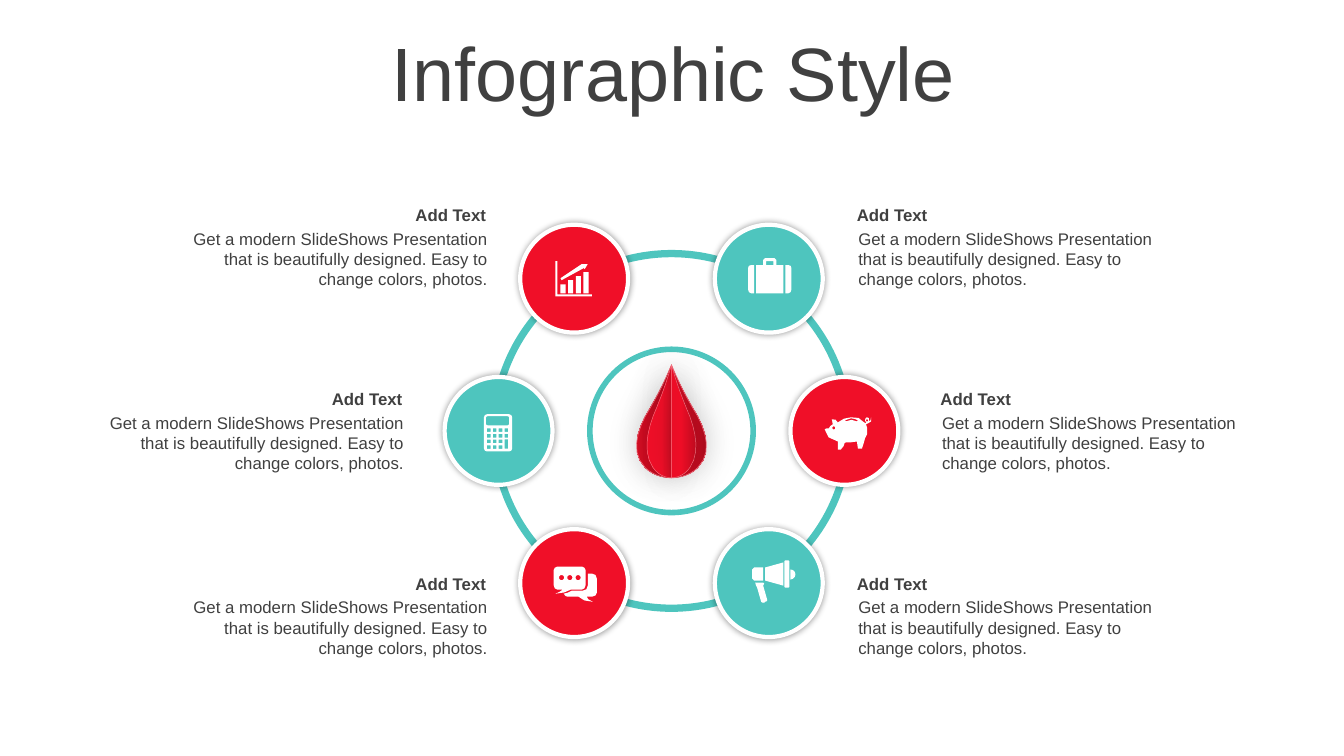
from dataclasses import dataclass
from math import cos, pi, sin

from pptx import Presentation
from pptx.dml.color import RGBColor
from pptx.enum.shapes import MSO_SHAPE
from pptx.enum.text import MSO_ANCHOR, PP_ALIGN
from pptx.oxml import parse_xml
from pptx.oxml.ns import nsdecls, qn
from pptx.shapes.autoshape import Shape
from pptx.slide import Slide
from pptx.util import Inches, Pt

OVAL, DONUT = MSO_SHAPE.OVAL, MSO_SHAPE.DONUT
LEFT, CENTER, RIGHT = PP_ALIGN.LEFT, PP_ALIGN.CENTER, PP_ALIGN.RIGHT
TOP, MIDDLE = MSO_ANCHOR.TOP, MSO_ANCHOR.MIDDLE

COLORS = {
    "red": "F00F28", "teal": "4EC5BE", "white": "FFFFFF", "text": "404040", "black": "000000",
    "drop_edge": "F66F7E", "dark": "B40B1E", "deep": "C00C20", "mid": "D80E24", "warm": "CC0D22",
}
FONT = {"name": "Arial", "size": Pt(12), "bold": False}
DESCRIPTION = ("Get a modern SlideShows Presentation that is beautifully designed. "
               "Easy to change colors, photos.")

# The slide is a grid of 133.3 columns by 75 rows; icon grids are ten times finer.
CELL, ICON_CELL = Inches(0.1), Inches(0.01)
CENTER_COLUMN, CENTER_ROW = 66.6, 42.75
NODE_SIZE, NODE_ROW_STEP = 10.7, 15.1
NODE_OFFSETS = (9.65, 17.15, 9.65)
TEXT_OFFSETS = (17.4, 25.7, 17.4)
TEXT_WIDTH, TEXT_TOP, TEXT_ROW_STEP = 32, 19.8, 18.3

Point = tuple[float, float]
Contour = list[Point]


@dataclass(frozen=True)
class Shadow:
    opacity: int
    blur: float
    distance: float = 0
    angle: int = 0


@dataclass(frozen=True)
class Topic:
    side: int
    level: int
    color: str
    icon: list[Contour]
    icon_column: float
    icon_row: float


@dataclass(frozen=True)
class Petal:
    stretch: float
    stops: tuple[tuple[int, str, int], ...]
    angle: int
    edge: float


def trace(outline: str, steps: int = 2) -> Contour:
    """Read 'x,y' as a corner and 'x,y/x,y/x,y' as a Bezier curve cut into steps."""
    points: Contour = []
    for item in outline.split():
        marks = [tuple(float(number) for number in mark.split(",")) for mark in item.split("/")]
        if len(marks) == 1:
            points.append(marks[0])
            continue
        controls = [points[-1], *marks]
        for step in range(1, steps + 1):
            t = step / steps
            weights = ((1 - t) ** 3, 3 * t * (1 - t) ** 2, 3 * t * t * (1 - t), t ** 3)
            points.append(tuple(sum(weight * control[axis] for weight, control in zip(weights, controls))
                                for axis in (0, 1)))
    return points


def box(left: float, top: float, width: float, height: float, radius: float = 0) -> Contour:
    right, bottom = left + width, top + height
    corners = ((right - radius, bottom - radius), (left + radius, bottom - radius),
               (left + radius, top + radius), (right - radius, top + radius))
    return [(x + radius * cos((quarter + step / 2) * pi / 2), y + radius * sin((quarter + step / 2) * pi / 2))
            for quarter, (x, y) in enumerate(corners) for step in range(3 if radius else 1)]


def dot(x: float, y: float, radius: float) -> Contour:
    return [(x + radius * cos(step * pi / 5), y + radius * sin(step * pi / 5)) for step in range(10)]


def mirror(contour: Contour, width: float) -> Contour:
    return [(width - x, y) for x, y in contour]


CASE_END = trace("37,7 40,7 42,7/43,8/43,10 43,31 43,33/42,35/40,35 37,35")
CHART = [box(5 + 7.6 * bar, 23 - 4 * bar, 5, 9 + 4 * bar) for bar in range(4)] + [
    trace("26,3 32,3 29,8 28,7 6,19 5,17"),
    trace("0,0 2,0 2,33 36,33 36,35 0,35"),
]
SUITCASE = [
    CASE_END, mirror(CASE_END, 43), box(18, 3, 7, 4),
    trace("17,0 26,0 28,2 28,7 35,7 35,35 8,35 8,7 15,7 15,2"),
]
CALCULATOR = [box(0, 0, 28, 37, 3), box(2, 2, 23, 9, 1.5), box(20.4, 25, 3.6, 9.2)] + [
    box(3 + 5.8 * column, 14 + 5.6 * row, 3.6, 3.6)
    for row in range(4) for column in range(4 if row < 2 else 3)
]
PIG = [
    dot(9, 10.5, 1.5), dot(42, 3, 1.1),
    trace("26,1 24,2/22,2/20,3 21,4 24,2/29,2/32,4 33,3 31,2/29,1/26,1"),
    trace("26,0 31,-1/37,1/39,5 41,6 41,5 40,3 40,1/41,0/42,0 44,0/44,1/44,3 "
          "44,4 45,3/46,4/46,0 47,4/46,5/43,6 41,7 42,10 43,15/42,19/40,21 "
          "39,25/38,28/37,31 33,31 33,29/32,27/32,24 28,25/23,25/20,25 20,27/18,30/16,32 "
          "13,32 13,24 8,22/-2,19/0,12 0,11/2,11/4,11 5,9/6,8/8,7 8,5/7,3/7,2 "
          "11,1/11,3/13,5 16,2/22,0/26,0"),
]
CHAT = [dot(8 + 8.2 * index, 11, 2.6) for index in range(3)] + [
    trace("34,7 38,7 41,7/43,9/43,12 43,26 43,28/41,30/38,30 33,30 34,32/34,33/39,35 31,34/29,34/25,30 "
          "14,30 13,30/11,29/10,27 13,27/16,25/18,24 29,24 32,24/34,22/34,19"),
    trace("4,0 28,0 30,0/32,2/32,4 32,18 32,21/30,23/28,23 17,23 12,26/10,26/2,27 6,25/7,25/9,23 "
          "4,23 2,23/0,21/0,18 0,4 0,2/2,0/4,0"),
]
MEGAPHONE = [
    trace("11,22 12,23 11,25 15,39 15,40/15,41/13,41 12,42 11,42/9,42/9,41 5,27 4,25 3,22"),
    trace("38,9 41,9/43,11/43,14 43,16/41,19/38,19", 3),
    trace("2,7 11,7 11,20 2,20 0,18 0,9"),
    trace("31,2 31,25 13,20 13,7"), box(32, 0, 5, 27, 1),
]
TOPICS = (
    Topic(-1, 0, "red", CHART, 55.1, 25.9), Topic(1, 0, "teal", SUITCASE, 74.2, 25.6),
    Topic(-1, 1, "teal", CALCULATOR, 48, 41.1), Topic(1, 1, "red", PIG, 81.8, 41.4),
    Topic(-1, 2, "red", CHAT, 54.9, 56.2), Topic(1, 2, "teal", MEGAPHONE, 74.6, 55.6),
)
HALF_DROP = trace("0,0 0,112 9,112/19,109/26,102 40,88/35,68/26,51 16,34/9,22/0,0", 6)
PETALS = (
    Petal(-1, ((0, "dark", 100), (25, "deep", 100), (100, "mid", 100)), 180, 0.5),
    Petal(1, ((0, "mid", 100), (75, "deep", 100), (100, "dark", 100)), 0, 0.5),
    Petal(-0.7, ((0, "warm", 100), (40, "red", 100), (100, "red", 100)), 180, 0.35),
    Petal(0.7, ((0, "red", 90), (40, "red", 100), (100, "deep", 100)), 0, 0.35),
)


def color_xml(color: str, opacity: int) -> str:
    return f'<a:srgbClr val="{COLORS[color]}"><a:alpha val="{opacity * 1000}"/></a:srgbClr>'


def style(shape: Shape, fill: str = "", line: str = "", width: float = 0, shadow: Shadow | None = None) -> None:
    shape.shadow.inherit = False
    if fill:
        shape.fill.solid()
        shape.fill.fore_color.rgb = RGBColor.from_string(COLORS[fill])
    if line:
        shape.line.color.rgb = RGBColor.from_string(COLORS[line])
        shape.line.width = Pt(width)
    else:
        shape.line.fill.background()
    if shadow:
        shape.element.spPr.find(qn("a:effectLst")).append(parse_xml(
            f'<a:outerShdw {nsdecls("a")} blurRad="{Pt(shadow.blur)}" dist="{Pt(shadow.distance)}" '
            f'dir="{shadow.angle * 60000}" algn="ctr" rotWithShape="0">'
            f'{color_xml("black", shadow.opacity)}</a:outerShdw>'))


def add_round(slide: Slide, kind: MSO_SHAPE, column: float, row: float, size: float) -> Shape:
    """Add a round shape centred on a grid point."""
    left, top = (int((middle - size / 2) * CELL) for middle in (column, row))
    return slide.shapes.add_shape(kind, left, top, int(size * CELL), int(size * CELL))


def add_outline(slide: Slide, contours: list[Contour], column: float, row: float) -> Shape:
    scaled = [[(x * ICON_CELL, y * ICON_CELL) for x, y in contour] for contour in contours]
    builder = slide.shapes.build_freeform(*scaled[0][0])
    for index, (start, *others) in enumerate(scaled):
        if index:
            builder.move_to(*start)
        builder.add_line_segments(others, close=True)
    return builder.convert_to_shape(int(column * CELL), int(row * CELL))


def add_text(slide: Slide, text: str, frame: tuple[float, float, float, float], alignment: PP_ALIGN,
             anchor: MSO_ANCHOR = TOP, spacing: float = 1.0, **changes: object) -> None:
    text_frame = slide.shapes.add_textbox(*(int(length * CELL) for length in frame)).text_frame
    text_frame.word_wrap = True
    text_frame.vertical_anchor = anchor
    paragraph = text_frame.paragraphs[0]
    paragraph.text, paragraph.alignment, paragraph.line_spacing = text, alignment, spacing
    font = paragraph.runs[0].font
    for name, value in (FONT | changes).items():
        setattr(font, name, value)
    font.color.rgb = RGBColor.from_string(COLORS["text"])


def add_topic_text(slide: Slide, topic: Topic) -> None:
    offset = TEXT_OFFSETS[topic.level]
    column = CENTER_COLUMN + (offset if topic.side > 0 else -offset - TEXT_WIDTH)
    row = TEXT_TOP + TEXT_ROW_STEP * topic.level
    alignment = LEFT if topic.side > 0 else RIGHT
    add_text(slide, "Add Text", (column, row, TEXT_WIDTH, 3), alignment, bold=True)
    add_text(slide, DESCRIPTION, (column + 0.15, row + 2.35, TEXT_WIDTH, 7.1), alignment)


def add_petal(slide: Slide, petal: Petal) -> None:
    contour = [(x * petal.stretch, y) for x, y in HALF_DROP]
    shape = add_outline(slide, [contour], CENTER_COLUMN, 36.2)
    style(shape, line="drop_edge", width=petal.edge, shadow=Shadow(15, 25, 1, 270))
    stops = "".join(f'<a:gs pos="{place * 1000}">{color_xml(color, opacity)}</a:gs>'
                    for place, color, opacity in petal.stops)
    shape.element.spPr.find(qn("a:custGeom")).addnext(parse_xml(
        f'<a:gradFill {nsdecls("a")} rotWithShape="1"><a:gsLst>{stops}</a:gsLst>'
        f'<a:lin ang="{petal.angle * 60000}" scaled="0"/></a:gradFill>'))


def main() -> None:
    presentation = Presentation()
    presentation.slide_width, presentation.slide_height = Inches(13.33), Inches(7.5)
    slide = presentation.slides.add_slide(presentation.slide_layouts[6])
    add_text(slide, "Infographic Style", (3.5, 3.7, 126.6, 7.9), CENTER, MIDDLE, 0.9, size=Pt(54))
    for topic in TOPICS:
        add_topic_text(slide, topic)
    style(add_round(slide, OVAL, CENTER_COLUMN, CENTER_ROW, 16.2), "white", "teal", 4)
    ring = add_round(slide, DONUT, CENTER_COLUMN, CENTER_ROW, 35.9)
    ring.adjustments[0] = 0.02
    style(ring, "teal")
    for topic in TOPICS:
        column = CENTER_COLUMN + topic.side * NODE_OFFSETS[topic.level]
        node = add_round(slide, OVAL, column, CENTER_ROW + (topic.level - 1) * NODE_ROW_STEP, NODE_SIZE)
        style(node, topic.color, "white", 3, Shadow(40, 5))
        style(add_outline(slide, topic.icon, topic.icon_column, topic.icon_row), "white")
    for petal in PETALS:
        add_petal(slide, petal)
    presentation.save("out.pptx")


if __name__ == "__main__":
    main()
